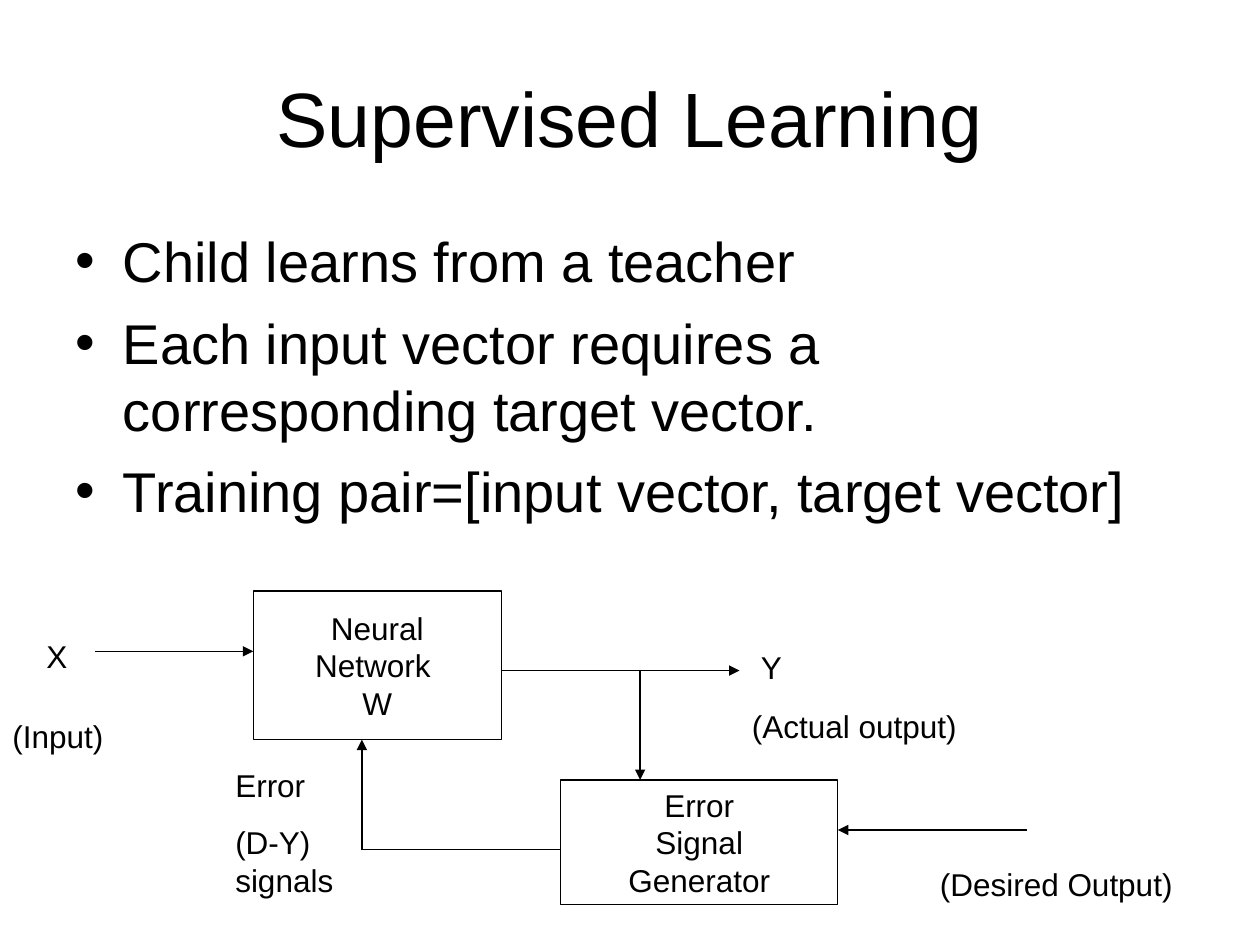
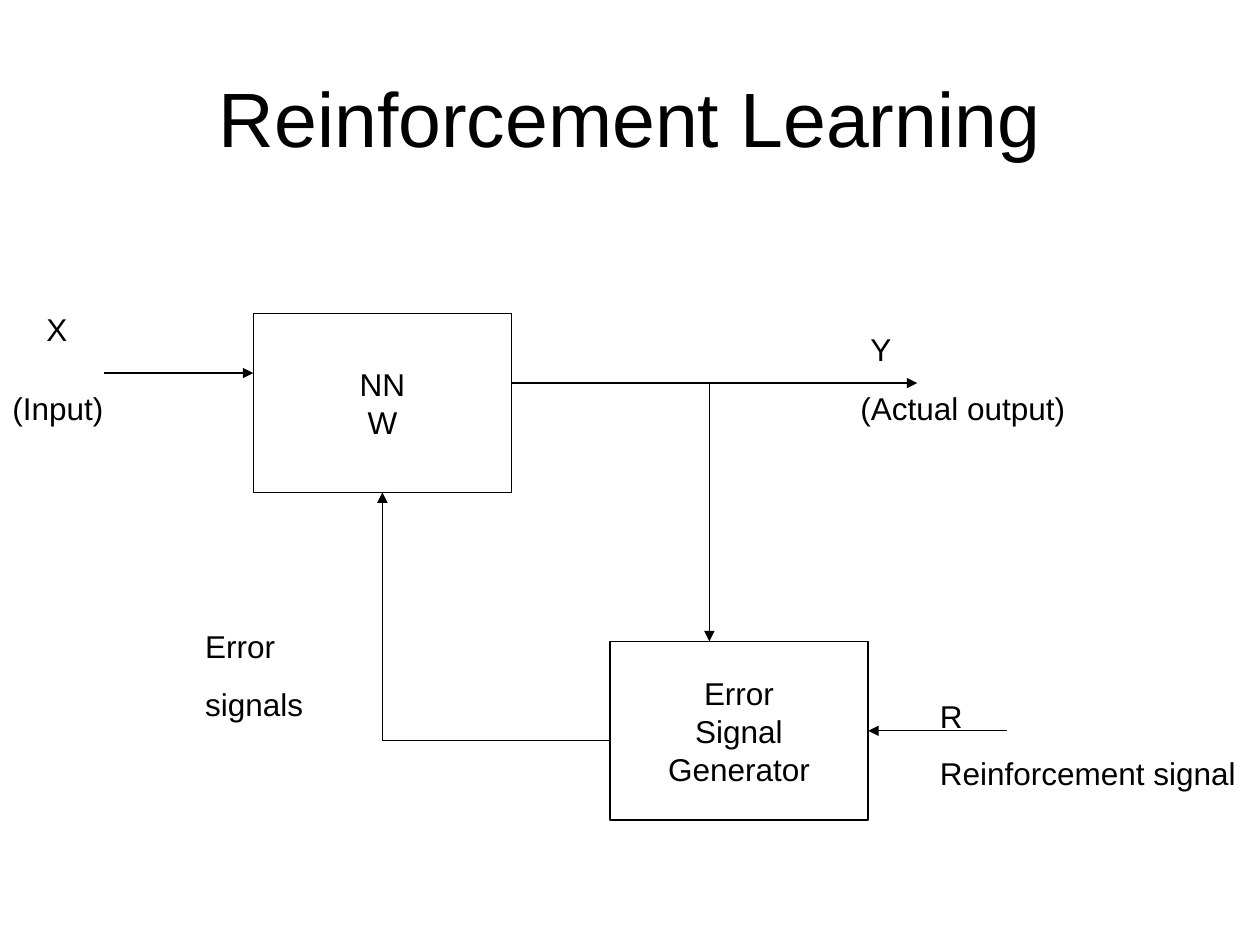
from dataclasses import dataclass
from typing import Any, Optional

from lxml.etree import SubElement
from pptx import Presentation
from pptx.dml.color import RGBColor
from pptx.enum.shapes import MSO_CONNECTOR, MSO_SHAPE
from pptx.enum.text import MSO_ANCHOR, MSO_AUTO_SIZE, PP_ALIGN
from pptx.oxml.ns import qn
from pptx.util import Pt

COLORS = {"ink": "000000", "paper": "FFFFFF"}
FONT = "Arial"
TITLE_SIZE, BODY_SIZE, LABEL_SIZE = 44, 32, 18
LINE_WIDTH = 0.75
TITLE_AND_BODY, TITLE_ONLY = 1, 5


@dataclass(frozen=True)
class Area:
    left: float
    top: float
    width: float
    height: float

    @property
    def right(self) -> float:
        return self.left + self.width

    @property
    def bottom(self) -> float:
        return self.top + self.height

    @property
    def side_middles(self) -> list[tuple[float, float]]:
        """Middles of the sides, in connection site order."""
        middle_x = self.left + self.width / 2
        middle_y = self.top + self.height / 2
        return [(middle_x, self.top), (self.left, middle_y),
                (middle_x, self.bottom), (self.right, middle_y)]


@dataclass(frozen=True)
class Block:
    area: Area
    lines: list[str]


@dataclass(frozen=True)
class Label:
    area: Area
    lines: list[str]


@dataclass(frozen=True)
class Diagram:
    """Two blocks, and where the signals between them run."""
    network: Block
    generator: Block
    input_start: float
    input_y: float
    output_end: float
    output_y: float
    branch_x: float
    target_start: float
    target_y: float
    error_x: float
    error_y: float
    labels: list[Label]


@dataclass(frozen=True)
class Page:
    title: str
    bullets: list[str]
    diagram: Diagram


TITLE_AREA = Area(36, 21.6, 648, 90)
BODY_AREA = Area(36, 126, 648, 356.4)
GENERATOR_LINES = ["Error", "Signal", "Generator"]

PAGES = [
    Page(
        "Supervised Learning",
        ["Child learns from a teacher",
         "Each input vector requires a corresponding target vector.",
         "Training pair=[input vector, target vector]"],
        Diagram(
            network=Block(Area(144.7, 337.7, 141.8, 85), ["Neural", "Network ", "W"]),
            generator=Block(Area(320.4, 445.7, 158.4, 71.3), GENERATOR_LINES),
            input_start=54, input_y=372.2,
            output_end=422.6, output_y=383.2,
            branch_x=365.8,
            target_start=586.8, target_y=474.3,
            error_x=206.8, error_y=485.5,
            labels=[
                Label(Area(19.4, 360.7, 28, 29), ["X"]),
                Label(Area(0, 406, 93.6, 29), ["(Input)"]),
                Label(Area(427.7, 366.5, 45.4, 29), ["Y"]),
                Label(Area(422.6, 400.3, 209.5, 29), ["(Actual output)"]),
                Label(Area(530, 491, 158.4, 29), ["(Desired Output)"]),
                Label(Area(127.4, 434.2, 96.5, 83.5), ["Error", "(D-Y) signals"]),
            ],
        ),
    ),
    Page(
        "Reinforcement Learning",
        [],
        Diagram(
            network=Block(Area(144.7, 179.2, 147.6, 102.2), ["NN", "W"]),
            generator=Block(Area(348.5, 366.5, 147.6, 102.2), GENERATOR_LINES),
            input_start=59.6, input_y=213.2,
            output_end=524.2, output_y=218.9,
            branch_x=405.4,
            target_start=575.3, target_y=417.6,
            error_x=218.5, error_y=423.2,
            labels=[
                Label(Area(19.4, 173.5, 28, 29), ["X"]),
                Label(Area(0, 218.9, 93.6, 29), ["(Input)"]),
                Label(Area(490.3, 185, 45.4, 29), ["Y"]),
                Label(Area(484.6, 218.9, 209.5, 29), ["(Actual output)"]),
                Label(Area(110.2, 355, 96.5, 62), ["Error", "signals"]),
                Label(Area(530, 394.6, 190, 62), ["R", "Reinforcement signal"]),
            ],
        ),
    ),
]


def color(name: str) -> RGBColor:
    return RGBColor.from_string(COLORS[name])


def in_points(area: Area) -> tuple[Pt, Pt, Pt, Pt]:
    return Pt(area.left), Pt(area.top), Pt(area.width), Pt(area.height)


def write(frame: Any, lines: list[str], size: float,
          align: PP_ALIGN = PP_ALIGN.LEFT, space_before: float = 0) -> None:
    """Fill a text frame with one paragraph for each line."""
    for index, line in enumerate(lines):
        para = frame.paragraphs[0] if index == 0 else frame.add_paragraph()
        para.text = line
        para.alignment = align
        para.space_before = Pt(space_before)
        para.font.name = FONT
        para.font.size = Pt(size)
        para.font.color.rgb = color("ink")


def fill_placeholder(holder: Any, area: Area, lines: list[str], size: float,
                     align: PP_ALIGN, anchor: MSO_ANCHOR, space_before: float) -> None:
    holder.left, holder.top, holder.width, holder.height = in_points(area)
    frame = holder.text_frame
    frame.auto_size = MSO_AUTO_SIZE.NONE
    frame.vertical_anchor = anchor
    write(frame, lines, size, align, space_before)


def add_block(slide: Any, block: Block) -> Any:
    box = slide.shapes.add_shape(MSO_SHAPE.RECTANGLE, *in_points(block.area))
    box.shadow.inherit = False
    box.fill.background()
    box.line.color.rgb = color("ink")
    box.line.width = Pt(LINE_WIDTH)
    box.text_frame.word_wrap = False
    box.text_frame.vertical_anchor = MSO_ANCHOR.MIDDLE
    write(box.text_frame, block.lines, LABEL_SIZE, PP_ALIGN.CENTER)
    return box


def add_label(slide: Any, label: Label) -> None:
    box = slide.shapes.add_textbox(*in_points(label.area))
    box.text_frame.word_wrap = True
    box.text_frame.auto_size = MSO_AUTO_SIZE.SHAPE_TO_FIT_TEXT
    write(box.text_frame, label.lines, LABEL_SIZE, space_before=11.2)


def side_at(area: Area, point: tuple[float, float]) -> Optional[int]:
    """Number of the side whose middle is at the point, if any."""
    for side, (x, y) in enumerate(area.side_middles):
        if abs(x - point[0]) < 0.5 and abs(y - point[1]) < 0.5:
            return side
    return None


def add_signal(slide: Any, boxes: list[tuple[Any, Area]], start: tuple[float, float],
               end: tuple[float, float], arrow: bool = True) -> None:
    """Draw a straight signal line, joined to a box where it meets a side's middle."""
    line = slide.shapes.add_connector(
        MSO_CONNECTOR.STRAIGHT, *(Pt(value) for value in start + end))
    line.line.color.rgb = color("ink")
    line.line.width = Pt(LINE_WIDTH)
    properties = line._element.spPr
    if arrow:
        SubElement(properties.find(qn("a:ln")), qn("a:tailEnd"), type="triangle")
    SubElement(properties, qn("a:effectLst"))
    for point, connect in ((start, line.begin_connect), (end, line.end_connect)):
        for box, area in boxes:
            side = side_at(area, point)
            if side is not None:
                connect(box, side)


def add_diagram(slide: Any, diagram: Diagram) -> None:
    network, generator = diagram.network.area, diagram.generator.area
    boxes = [(add_block(slide, block), block.area)
             for block in (diagram.network, diagram.generator)]

    # Input, output and the output's branch to the generator
    add_signal(slide, boxes, (diagram.input_start, diagram.input_y),
               (network.left, diagram.input_y))
    add_signal(slide, boxes, (network.right, diagram.output_y),
               (diagram.output_end, diagram.output_y))
    add_signal(slide, boxes, (diagram.branch_x, diagram.output_y),
               (diagram.branch_x, generator.top))

    # Target signal, and the error fed back to the network
    corner = (diagram.error_x, diagram.error_y)
    add_signal(slide, boxes, (diagram.target_start, diagram.target_y),
               (generator.right, diagram.target_y))
    add_signal(slide, boxes, (generator.left, diagram.error_y), corner, arrow=False)
    add_signal(slide, boxes, corner, (diagram.error_x, network.bottom))

    for label in diagram.labels:
        add_label(slide, label)


def add_page(deck: Any, page: Page) -> None:
    layout = TITLE_AND_BODY if page.bullets else TITLE_ONLY
    slide = deck.slides.add_slide(deck.slide_layouts[layout])
    slide.background.fill.solid()
    slide.background.fill.fore_color.rgb = color("paper")
    fill_placeholder(slide.shapes.title, TITLE_AREA, [page.title], TITLE_SIZE,
                     PP_ALIGN.CENTER, MSO_ANCHOR.MIDDLE, 0)
    if page.bullets:
        fill_placeholder(slide.placeholders[1], BODY_AREA, page.bullets, BODY_SIZE,
                         PP_ALIGN.LEFT, MSO_ANCHOR.TOP, 8)
    add_diagram(slide, page.diagram)


def main() -> None:
    deck = Presentation()
    deck.slide_width, deck.slide_height = Pt(720), Pt(540)
    for page in PAGES:
        add_page(deck, page)
    deck.save("out.pptx")


if __name__ == "__main__":
    main()
